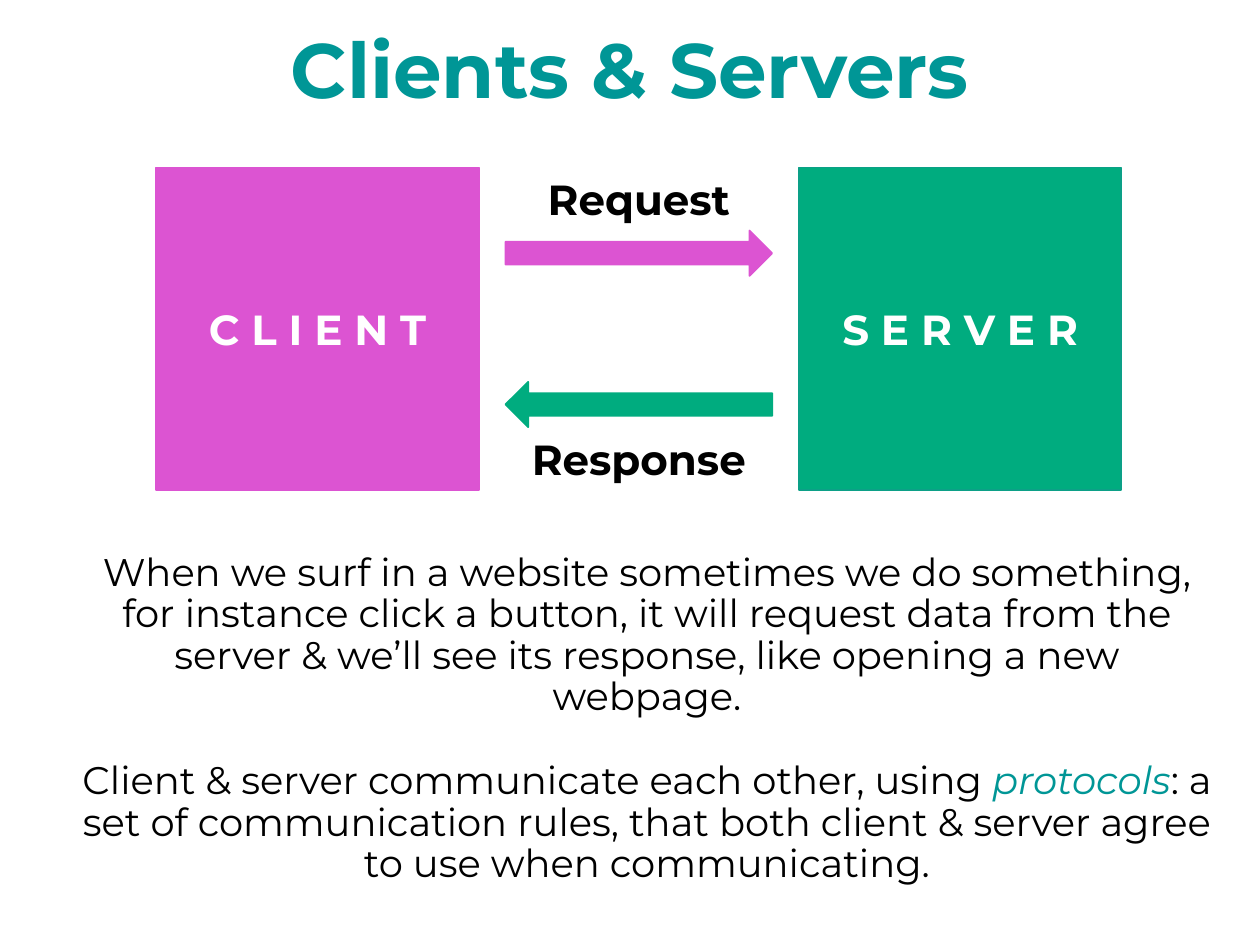
from pptx import Presentation
from pptx import util as u
from pptx.dml.color import RGBColor
from pptx.enum import shapes, text

TEAL = RGBColor(0x00, 0x96, 0x96)
PINK = RGBColor(0xDC, 0x54, 0xD2)
GREEN = RGBColor(0x00, 0xAC, 0x7F)
GREEN_EDGE = RGBColor(0x0C, 0xA0, 0x87)
WHITE = RGBColor(0xFF, 0xFF, 0xFF)
BLACK = RGBColor(0x00, 0x00, 0x00)
FONT = "Montserrat"
WIDTH, HEIGHT = 10, 7.5
SIDE, LABEL_H, ARROW_H = 2.56, 0.5, 0.36


def inches(*box):
    """Convert a left, top, width, height box to lengths."""
    return [u.Inches(v) for v in box]


def style(p, size, color, bold=False, spacing=None):
    """Centre a paragraph and set its font."""
    p.alignment = text.PP_ALIGN.CENTER
    p.line_spacing = spacing
    p.font.name, p.font.size, p.font.bold = FONT, u.Pt(size), bold
    p.font.color.rgb = color


def add_title(s, box, title):
    """Place the title placeholder in the box."""
    sp = s.shapes.title
    sp.left, sp.top, sp.width, sp.height = inches(*box)
    tf = sp.text_frame
    tf.text = title
    tf.vertical_anchor = text.MSO_ANCHOR.MIDDLE
    style(tf.paragraphs[0], 44, TEAL, True, 0.9)


def add_block(s, kind, box, fill, edge):
    """Add a filled preset shape without shadow."""
    sp = s.shapes.add_shape(kind, *inches(*box))
    sp.shadow.inherit = False
    sp.fill.solid()
    sp.fill.fore_color.rgb = fill
    sp.line.color.rgb = edge
    sp.line.width = u.Pt(1)
    return sp


def add_node(s, box, name, fill, edge):
    """Add a square node with its name in the middle."""
    sp = add_block(s, shapes.MSO_SHAPE.RECTANGLE, box, fill, edge)
    tf = sp.text_frame
    tf.text = name
    tf.vertical_anchor = text.MSO_ANCHOR.MIDDLE
    style(tf.paragraphs[0], 24, WHITE, True)


def add_text(s, box, anchor=text.MSO_ANCHOR.TOP):
    """Add a wrapping text box and return its frame."""
    tf = s.shapes.add_textbox(*inches(*box)).text_frame
    tf.word_wrap = True
    tf.vertical_anchor = anchor
    return tf


def add_message(s, box, name, label_y, arrow_y, color, rotation):
    """Add a label and its arrow, offset from the top of the box."""
    left, top, width, _ = box
    tf = add_text(s, (left, top + label_y, width, LABEL_H), text.MSO_ANCHOR.MIDDLE)
    tf.text = name
    style(tf.paragraphs[0], 24, BLACK, True)
    inset = width / 12
    arrow_box = (left + inset, top + arrow_y, width - 2 * inset, ARROW_H)
    sp = add_block(s, shapes.MSO_SHAPE.RIGHT_ARROW, arrow_box, color, color)
    sp.rotation = rotation


def add_exchange(s, box):
    """Draw client and server at the ends of the box with messages between."""
    left, top, width, height = box
    right = left + width - SIDE
    add_node(s, (left, top, SIDE, height), "C L I E N T", PINK, PINK)
    add_node(s, (right, top, SIDE, height), "S E R V E R", GREEN, GREEN_EDGE)
    gap = (left + SIDE, top, right - left - SIDE, height)
    low = height - LABEL_H
    add_message(s, gap, "Request", 0, LABEL_H, PINK, 0)
    add_message(s, gap, "Response", low, low - ARROW_H, GREEN, 180)


def add_explanation(s, box):
    """Write the two explanatory paragraphs in the box."""
    tf = add_text(s, box)
    p = tf.paragraphs[0]
    p.text = (
        "When we surf in a website sometimes we do something, for instance "
        "click a button, it will request data from the server & we’ll see "
        "its response, like opening a new webpage."
    )
    style(p, 22, BLACK, spacing=0.9)
    p = tf.add_paragraph()
    style(p, 22, BLACK, spacing=0.9)
    p.space_before = u.Pt(24)
    p.add_run().text = "Client & server communicate each other, using "
    r = p.add_run()
    r.text = "protocols"
    r.font.italic = True
    r.font.color.rgb = TEAL
    p.add_run().text = (
        ": a set of communication rules, that both client & server agree "
        "to use when communicating."
    )


def main():
    """Build and save the slide."""
    prs = Presentation()
    prs.slide_width, prs.slide_height = u.Inches(WIDTH), u.Inches(HEIGHT)
    s = prs.slides.add_slide(prs.slide_layouts[5])
    add_title(s, (0.64, 0.1, 8.72, 0.96), "Clients & Servers")
    add_exchange(s, (1.24, 1.33, 7.66, SIDE))
    add_explanation(s, (0.52, 4.34, 9.23, HEIGHT - 4.34))
    prs.save("out.pptx")


if __name__ == "__main__":
    main()
